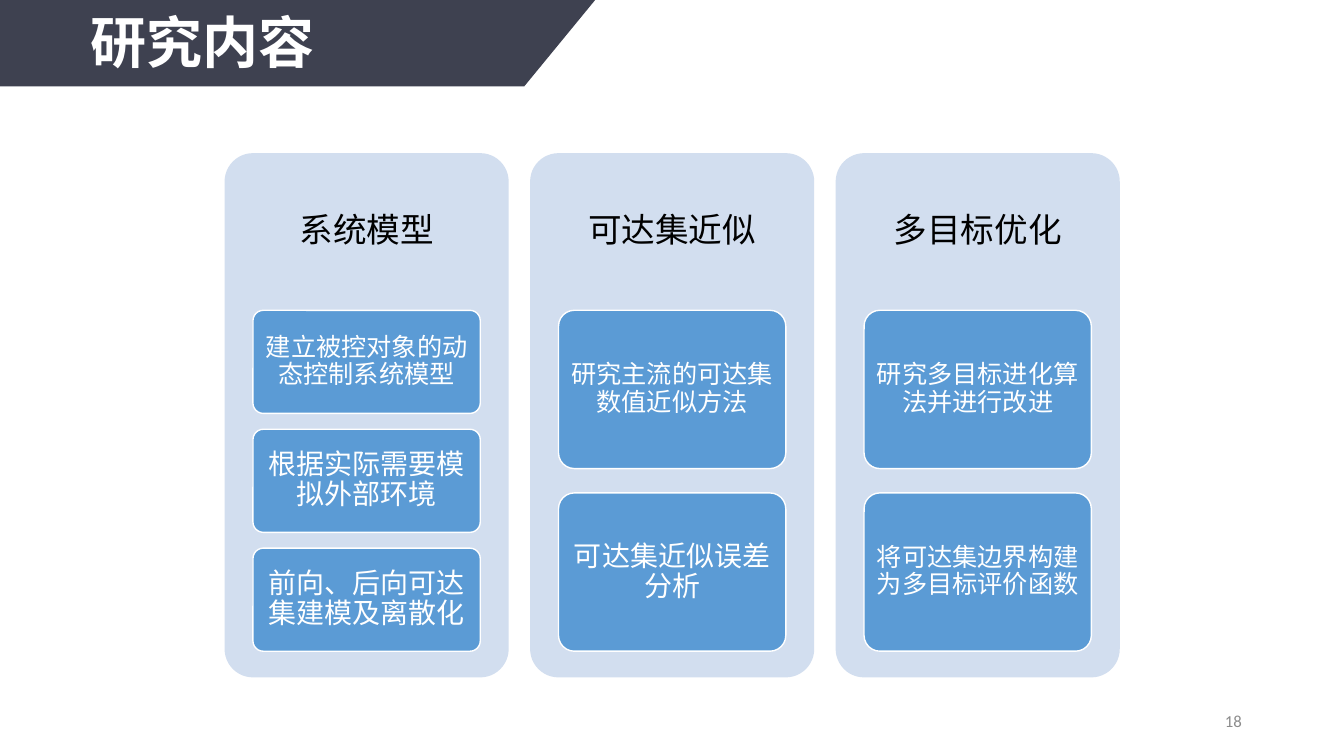
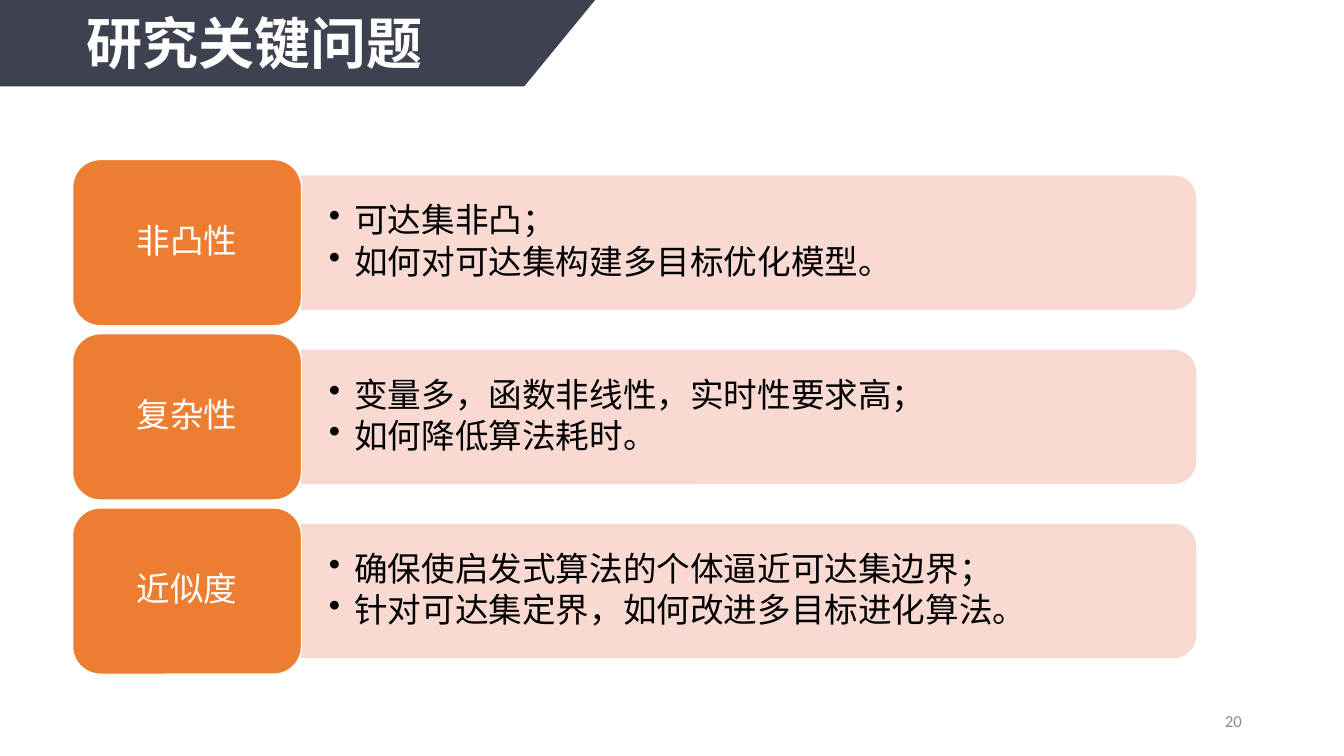
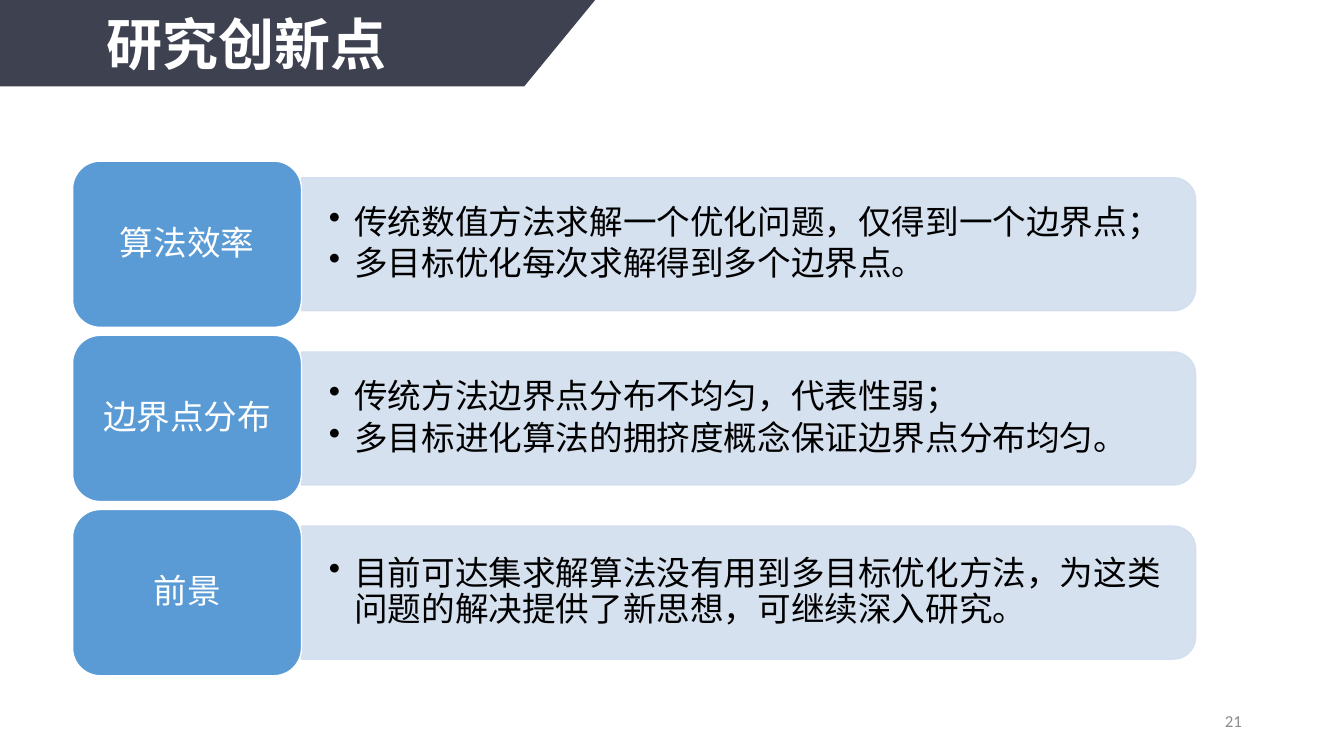
"""Build three research slides: content columns, key problems and innovations."""
from dataclasses import dataclass

from pptx import Presentation
from pptx.dml.color import RGBColor
from pptx.enum.shapes import MSO_SHAPE as SHAPE
from pptx.enum.text import MSO_ANCHOR as ANCHOR, PP_ALIGN as ALIGN
from pptx.oxml.ns import qn
from pptx.oxml.xmlchemy import OxmlElement
from pptx.util import Cm, Pt

COLUMNS = [
    ("系统模型", [("建立被控对象的动态控制系统模型", 18),
              ("根据实际需要模拟外部环境", 20),
              ("前向、后向可达集建模及离散化", 20)]),
    ("可达集近似", [("研究主流的可达集数值近似方法", 18),
               ("可达集近似误差分析", 20)]),
    ("多目标优化", [("研究多目标进化算法并进行改进", 18),
               ("将可达集边界构建为多目标评价函数", 18)]),
]
PROBLEMS = [
    ("非凸性", ["可达集非凸；", "如何对可达集构建多目标优化模型。"]),
    ("复杂性", ["变量多，函数非线性，实时性要求高；", "如何降低算法耗时。"]),
    ("近似度", ["确保使启发式算法的个体逼近可达集边界；",
             "针对可达集定界，如何改进多目标进化算法。"]),
]
INNOVATIONS = [
    ("算法效率", ["传统数值方法求解一个优化问题，仅得到一个边界点；",
              "多目标优化每次求解得到多个边界点。"]),
    ("边界点分布", ["传统方法边界点分布不均匀，代表性弱；",
               "多目标进化算法的拥挤度概念保证边界点分布均匀。"]),
    ("前景", ["目前可达集求解算法没有用到多目标优化方法，"
            "为这类问题的解决提供了新思想，可继续深入研究。"]),
]


@dataclass(frozen=True)
class Theme:
    band: str = "3E4150"
    white: str = "FFFFFF"
    black: str = "000000"
    grey: str = "8C8C8C"
    blue: str = "5B9BD5"
    pale_blue: str = "D2DEEF"
    orange: str = "ED7D31"
    pale_orange: str = "F8D7CE"
    font: str = "Noto Sans CJK SC"
    title_font: str = "Arial Narrow"
    number_font: str = "Calibri"
    title: int = 40
    body: int = 24
    number: int = 12


T = Theme()


def write(sp, *lines, size=T.body, color=T.black, font=T.font, bold=False,
          align=ALIGN.CENTER, anchor=ANCHOR.MIDDLE, inset=(0.25, 0.13),
          spacing=0.9, bullet=False, wrap=True):
    tf = sp.text_frame
    tf.word_wrap, tf.vertical_anchor = wrap, anchor
    tf.margin_left = tf.margin_right = Cm(inset[0])
    tf.margin_top = tf.margin_bottom = Cm(inset[1])
    for i, line in enumerate(lines):
        p = tf.paragraphs[0] if i == 0 else tf.add_paragraph()
        p.alignment, p.line_spacing = align, spacing
        if bullet:
            p.space_after = Pt(size * 0.15)
            pPr = p._p.get_or_add_pPr()
            pPr.set("marL", str(Cm(0.64)))
            pPr.set("indent", str(-Cm(0.64)))
            bu = OxmlElement("a:buChar")
            bu.set("char", "•")
            pPr.append(bu)
        r = p.add_run()
        r.text = line
        r.font.size, r.font.bold, r.font.name = Pt(size), bold, font
        r.font.color.rgb = RGBColor.from_string(color)
        ea = OxmlElement("a:ea")
        ea.set("typeface", T.font)
        r.font._element.find(qn("a:latin")).addnext(ea)


def paint(sp, fill, line=None, opacity=None):
    sp.shadow.inherit = False
    sp.fill.solid()
    sp.fill.fore_color.rgb = RGBColor.from_string(fill)
    if line:
        sp.line.width = Pt(1)
        sp.line.color.rgb = RGBColor.from_string(line)
    else:
        sp.line.fill.background()
    if opacity:
        for clr in sp._element.spPr.iter(qn("a:srgbClr")):
            alpha = OxmlElement("a:alpha")
            alpha.set("val", str(opacity * 1000))
            clr.append(alpha)


def add_box(s, kind, x, y, w, h, fill, adj=None, **style):
    sp = s.shapes.add_shape(kind, Cm(x), Cm(y), Cm(w), Cm(h))
    if adj:
        sp.adjustments[0] = adj
    paint(sp, fill, **style)
    return sp


def add_text(s, x, y, w, h, *lines, **fmt):
    write(s.shapes.add_textbox(Cm(x), Cm(y), Cm(w), Cm(h)), *lines, **fmt)


def new_slide(prs, title, number, x, y, font=T.font):
    s = prs.slides.add_slide(prs.slide_layouts[6])
    band = s.shapes.build_freeform(0, 0)
    band.add_line_segments([(Cm(15), 0), (Cm(13.21), Cm(2.18)), (0, Cm(2.18))])
    paint(band.convert_to_shape(), T.band)
    add_text(s, x, y, 9.1, 1.96, title, size=T.title, color=T.white, font=font,
             bold=True, align=ALIGN.LEFT, anchor=ANCHOR.TOP, spacing=1, wrap=False)
    add_text(s, 23.93, 17.65, 7.62, 1.02, str(number), size=T.number,
             color=T.grey, font=T.number_font, align=ALIGN.RIGHT, spacing=1)
    return s


def add_columns(s, columns):
    left, top, w, h, pitch = 5.66, 3.86, 7.16, 13.21, 7.7
    head_h, body_h, gap_ratio = 3.96, 8.59, 0.154
    for i, (head, items) in enumerate(columns):
        x = left + i * pitch
        add_box(s, SHAPE.ROUNDED_RECTANGLE, x, top, w, h, T.pale_blue, adj=0.1)
        add_text(s, x, top, w, head_h, head)
        n = len(items)
        item_h = body_h / (n + gap_ratio * (n - 1))
        for j, (text, size) in enumerate(items):
            y = top + head_h + j * item_h * (1 + gap_ratio)
            sp = add_box(s, SHAPE.ROUNDED_RECTANGLE, x + w * 0.1, y, w * 0.8,
                         item_h, T.blue, adj=0.1, line=T.white)
            write(sp, text, size=size, color=T.white, inset=(0.13, 0.1))


def add_rows(s, rows, top, strong, pale):
    left, label_w, label_h, pitch = 1.83, 5.77, 4.19, 4.39
    panel_w, panel_h = 22.53, 3.35
    x = left + label_w
    for i, (label, lines) in enumerate(rows):
        y = top + i * pitch
        panel_y = y + (label_h - panel_h) / 2
        turn = (panel_w - panel_h) / 2
        panel = add_box(s, SHAPE.ROUND_2_SAME_RECTANGLE, x + turn, panel_y - turn,
                        panel_h, panel_w, pale, line=pale, opacity=90)
        panel.rotation = 90
        add_text(s, x, panel_y, panel_w, panel_h, *lines, align=ALIGN.LEFT,
                 inset=(0.69, 0.36), bullet=True)
        sp = add_box(s, SHAPE.ROUNDED_RECTANGLE, left, y, label_w, label_h,
                     strong, line=T.white)
        write(sp, label, color=T.white)


def main():
    prs = Presentation()
    prs.slide_width, prs.slide_height = Cm(33.87), Cm(19.05)
    add_columns(new_slide(prs, "研究内容", 18, 2.03, 0.05), COLUMNS)
    s = new_slide(prs, "研究关键问题", 20, 1.93, 0.08, font=T.title_font)
    add_rows(s, PROBLEMS, 4.02, T.orange, T.pale_orange)
    s = new_slide(prs, "研究创新点", 21, 2.44, 0.1)
    add_rows(s, INNOVATIONS, 4.06, T.blue, T.pale_blue)
    prs.save("out.pptx")


if __name__ == "__main__":
    main()
